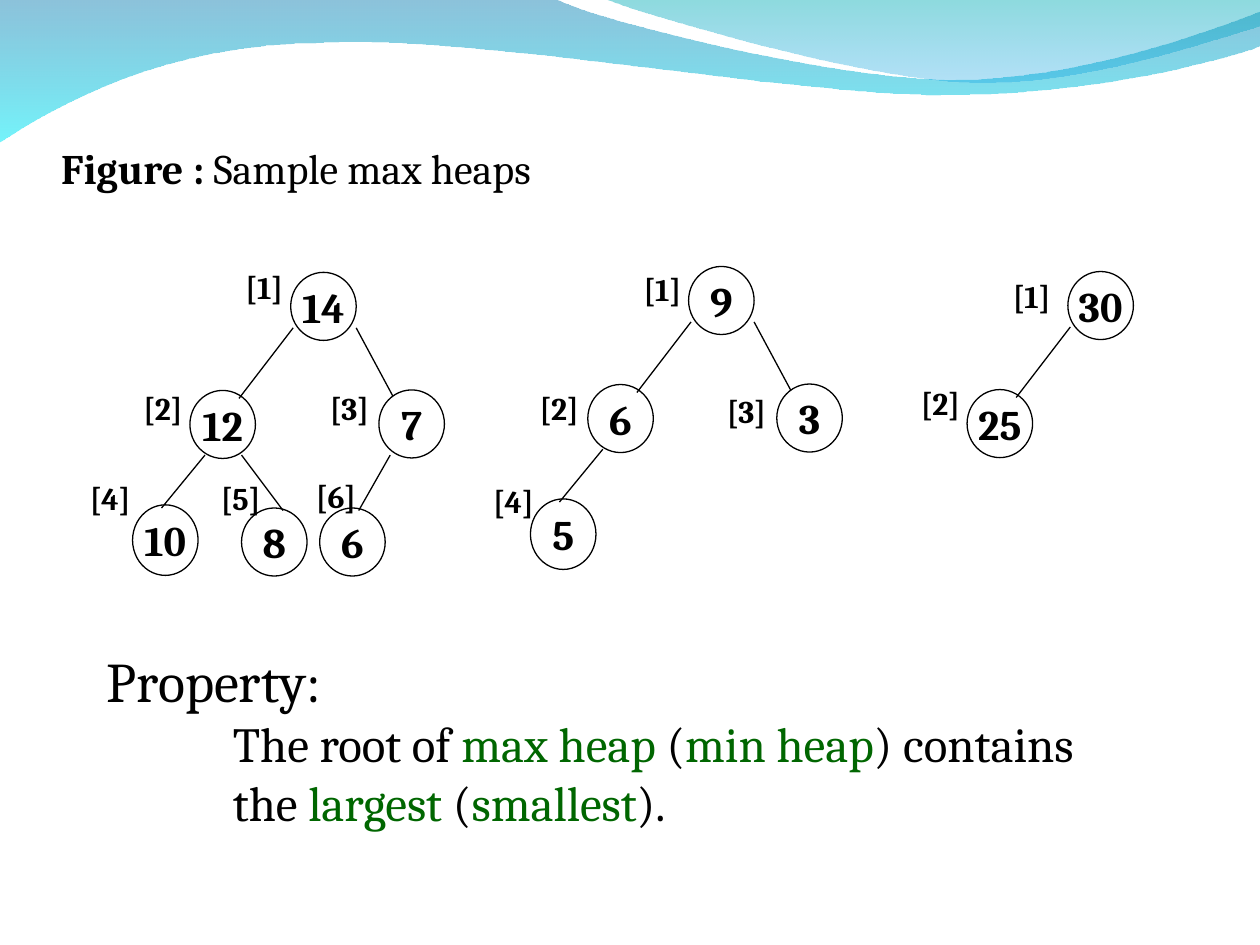
from lxml.etree import SubElement
from pptx import Presentation
from pptx.dml.color import RGBColor
from pptx.enum.shapes import MSO_CONNECTOR as Connector, MSO_SHAPE as Shape
from pptx.enum.text import MSO_ANCHOR as Anchor, MSO_AUTO_SIZE as AutoSize, PP_ALIGN as Align
from pptx.oxml.ns import qn
from pptx.util import Inches, Pt

COLORS = {"black": "000000", "green": "006600", "blue": "0079AF", "cyan": "00EBF8",
          "teal": "00ADB6", "sky": "009BE5"}

presentation = Presentation()
presentation.slide_width, presentation.slide_height = Inches(10), Inches(7.5)
slide = presentation.slides.add_slide(presentation.slide_layouts[5])
shapes = slide.shapes
column = presentation.slide_width / 100
row = presentation.slide_height / 75


def grid(*lengths):
    return [round(length * (row if i % 2 else column)) for i, length in enumerate(lengths)]


def set_font(font, size, bold=False, color="black"):
    font.name, font.size, font.bold = "Cambria", Pt(size), bold
    font.color.rgb = RGBColor.from_string(COLORS[color])


title = shapes.title
title.left, title.top, title.width, title.height = grid(3.85, 10.8, 45.4, 5)
frame = title.text_frame
frame.word_wrap = False
frame.auto_size = AutoSize.NONE
frame.vertical_anchor = Anchor.TOP
paragraph = frame.paragraphs[0]
paragraph.alignment = Align.LEFT
for words, bold in [("Figure :", True), (" Sample max heaps", False)]:
    run = paragraph.add_run()
    run.text = words
    set_font(run.font, 24, bold)

waves = [
    ((0, -0.1),
     [[(44, -0.1)],
      [(47.6, 1.7), (66.4, 6.3), (75.8, 6.3)],
      [(85.3, 6.3), (95.8, 2.6), (100, 0.9)],
      [(100.1, 3.6)],
      [(98.3, 4.4), (87, 7.6), (74.6, 7.5)],
      [(62.2, 7.5), (38.2, 2.8), (25.7, 3.4)],
      [(12.9, 3.5), (4.6, 8.3), (-0.1, 11.3)]],
     [("blue", 45), ("cyan", 55)]),
    ((47.9, -0.1),
     [[(50.9, 1.1), (68.2, 6.2), (76.9, 6.5)],
      [(85.6, 6.9), (96.1, 3.2), (100, 2.1)],
      [(100, 0)]],
     [("teal", 45), ("sky", 30)]),
]
for start, segments, stops in waves:
    builder = shapes.build_freeform(*grid(*start))
    builder.add_line_segments([grid(*point) for segment in segments for point in segment])
    wave = builder.convert_to_shape()
    lines = iter(list(wave._element.iter(qn("a:lnTo"))))
    for segment in segments:
        first, *others = [next(lines) for _ in segment]
        if others:
            first.tag = qn("a:cubicBezTo")
            for line in others:
                first.append(line[0])
                line.getparent().remove(line)
    SubElement(next(wave._element.iter(qn("a:path"))), qn("a:close"))
    wave.shadow.inherit = False
    wave.line.fill.background()
    wave.fill.gradient()
    wave.fill.gradient_angle = 270
    for stop, (color, _) in zip(wave.fill.gradient_stops, stops):
        stop.color.rgb = RGBColor.from_string(COLORS[color])
    for element, (_, alpha) in zip(wave._element.iter(qn("a:srgbClr")), stops):
        SubElement(element, qn("a:alpha"), val=str(alpha * 1000))

node_offsets = {1: (0, 0), 2: (-8, 9.37), 3: (7, 9.33), 4: (-12.55, 18.45),
                5: (-3.9, 18.7), 6: (2.3, 18.7)}
edge_offsets = {2: (0.2, 4.4, -4.1, 10), 3: (5.2, 4.4, 8.1, 9.8),
                4: (-6.8, 14.5, -10.25, 18.7), 5: (-3.9, 14.5, -0.6, 18.9),
                6: (7.9, 14.5, 5.4, 18.9)}
heaps = [
    ((23.07, 21.62), {1: ("14", 18.5, 20.75), 2: ("12", 10.4, 30.4), 3: ("7", 25.2, 30.4),
                      4: ("10", 6.15, 37.5), 5: ("8", 16.55, 37.5), 6: ("6", 24.1, 37.35)}),
    ((54.65, 21.15), {1: ("9", 50.1, 20.9), 2: ("6", 41.85, 30.4), 3: ("3", 56.7, 30.6),
                      4: ("5", 38.15, 37.75)}),
    ((84.75, 21.55), {1: ("30", 79.4, 21.5), 2: ("25", 72.1, 30)}),
]
for (root_x, root_y), nodes in heaps:
    for index, (value, label_x, label_y) in nodes.items():
        x, y = node_offsets[index]
        node = shapes.add_shape(Shape.OVAL, *grid(root_x + x, root_y + y, 5.2,
                                                  5.6 if index == 4 else 5.4))
        node.shadow.inherit = False
        node.fill.background()
        node.line.color.rgb = RGBColor.from_string(COLORS["black"])
        node.line.width = Pt(0.75)
        node.text_frame.word_wrap = False
        node.text_frame.vertical_anchor = Anchor.MIDDLE
        paragraph = node.text_frame.paragraphs[0]
        paragraph.text = value
        paragraph.alignment = Align.CENTER
        set_font(paragraph.font, 24, True)

        if index in edge_offsets:
            x1, y1, x2, y2 = edge_offsets[index]
            edge = shapes.add_connector(Connector.STRAIGHT, *grid(
                root_x + x1, root_y + y1, root_x + x2, root_y + y2))
            edge.line.color.rgb = RGBColor.from_string(COLORS["black"])
            edge.line.width = Pt(0.75)
            SubElement(edge._element.spPr, qn("a:effectLst"))

        label = shapes.add_textbox(*grid(label_x, label_y, 5.4, 4))
        label.text_frame.word_wrap = False
        label.text_frame.auto_size = AutoSize.SHAPE_TO_FIT_TEXT
        paragraph = label.text_frame.paragraphs[0]
        paragraph.text = f"[{index}]"
        set_font(paragraph.font, 18, True)

frame = shapes.add_textbox(*grid(7.5, 50.8, 87.5, 20.4)).text_frame
frame.word_wrap = True
heading = frame.paragraphs[0]
heading.text = "Property:"
set_font(heading.font, 32)
statements = [
    [("The root of ", "black"), ("max heap", "green"), (" (", "black"),
     ("min heap", "green"), (") contains", "black")],
    [("the ", "black"), ("largest", "green"), (" (", "black"),
     ("smallest", "green"), (").", "black")],
]
for statement in statements:
    paragraph = frame.add_paragraph()
    paragraph._p.get_or_add_pPr().set("marL", str(round(10 * column)))
    for words, color in statement:
        run = paragraph.add_run()
        run.text = words
        set_font(run.font, 28, color=color)

presentation.save("out.pptx")
